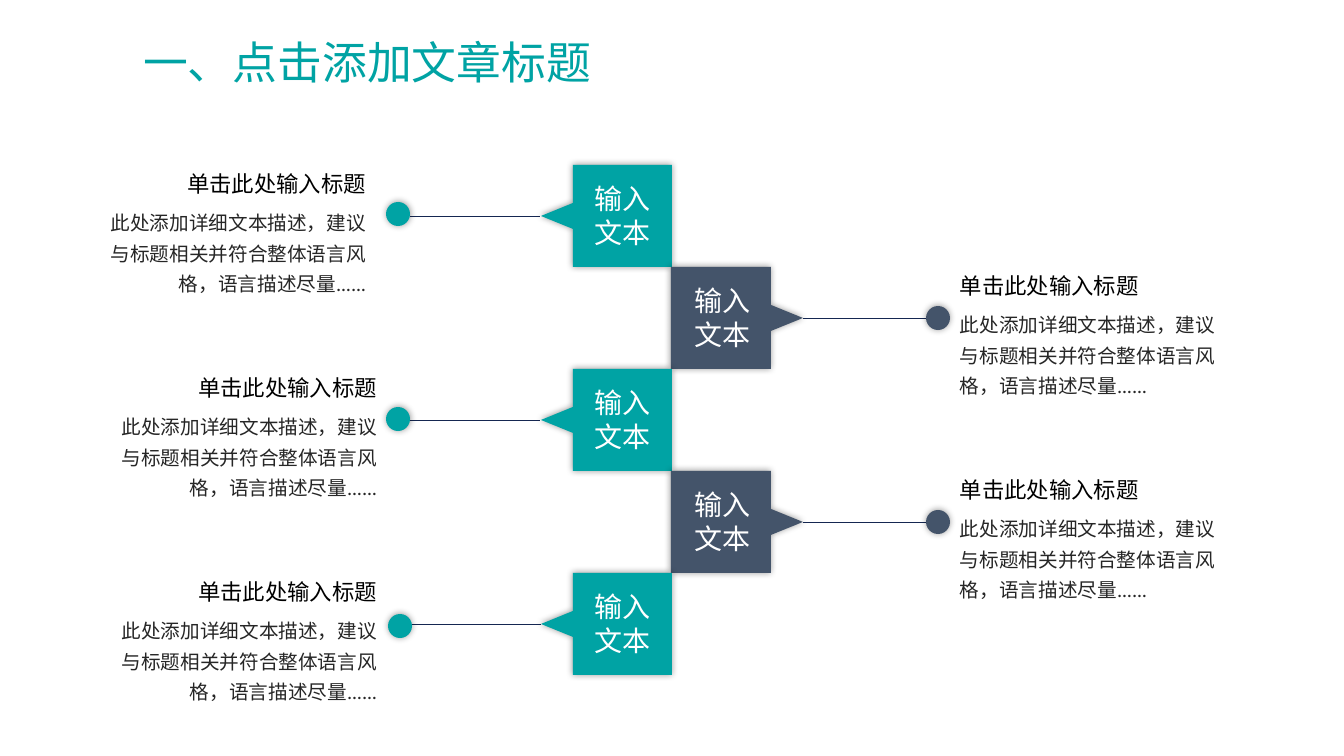
from dataclasses import dataclass

from lxml.etree import SubElement
from pptx import Presentation
from pptx.dml.color import RGBColor
from pptx.enum.shapes import MSO_CONNECTOR as Connector, MSO_SHAPE as Preset
from pptx.enum.text import MSO_ANCHOR as Anchor, MSO_AUTO_SIZE as AutoSize, PP_ALIGN as Align
from pptx.oxml.ns import qn
from pptx.util import Pt


@dataclass(frozen=True)
class Theme:
    font: str = "League Spartan"
    teal: str = "00A3A4"
    slate: str = "44546A"
    line: str = "152751"
    heading: str = "000000"
    body: str = "262626"
    white: str = "FFFFFF"
    shadow: str = "000000"
    title_size: int = 32
    label_size: int = 20
    heading_size: int = 16
    body_size: int = 14


THEME = Theme()
TITLE = "一、点击添加文章标题"
LABEL = ["输入", "文本"]
HEADING = "单击此处输入标题"
BODY = "此处添加详细文本描述，建议与标题相关并符合整体语言风格，语言描述尽量……"

ROWS = [
    {"side": "left", "line": 410, "dot": (386, 37), "text_edge": 376},
    {"side": "right", "line": 803, "dot": (926, 39), "text_edge": 950},
    {"side": "left", "line": 410, "dot": (386, 38), "text_edge": 387},
    {"side": "right", "line": 803, "dot": (926, 39), "text_edge": 950},
    {"side": "left", "line": 411, "dot": (388, 41), "text_edge": 387},
]
SIDES = {
    "left": {"color": THEME.teal, "inner": 672, "shoulder": 573, "tip": 541,
             "label": 584, "align": Align.RIGHT},
    "right": {"color": THEME.slate, "inner": 671, "shoulder": 771, "tip": 803,
              "label": 684, "align": Align.LEFT},
}
SLIDE_WIDTH, SLIDE_HEIGHT = 1344, 756
FIRST_TOP, PITCH = 165, 102
NOTCH, DOT, LINE_LENGTH = 13, 24, 130
HEADING_WIDTH, BODY_WIDTH = 202, 278
EMU_PER_PX = 914400 * 10 / 1008


def px(value):
    return round(value * EMU_PER_PX)


def box(*values):
    return [px(value) for value in values]


def rgb(color):
    return RGBColor.from_string(color)


def write(frame, lines, size, color, align, wrap=False, spacing=None):
    frame.word_wrap = wrap
    frame.auto_size = AutoSize.SHAPE_TO_FIT_TEXT
    frame.vertical_anchor = Anchor.TOP
    for index, line in enumerate(lines):
        paragraph = frame.add_paragraph() if index else frame.paragraphs[0]
        paragraph.alignment = align
        if spacing:
            paragraph.line_spacing = spacing
        run = paragraph.add_run()
        run.text = line
        run.font.name = THEME.font
        run.font.size = Pt(size)
        run.font.color.rgb = rgb(color)
        east_asian = SubElement(run.font._element, qn("a:ea"))
        east_asian.set("typeface", THEME.font)


def add_text(shapes, place, *args, **options):
    write(shapes.add_textbox(*box(*place)).text_frame, *args, **options)


def paint(shape, color):
    shape.fill.solid()
    shape.fill.fore_color.rgb = rgb(color)
    shape.line.fill.background()
    shape.shadow.inherit = False
    effects = shape._element.spPr.find(qn("a:effectLst"))
    glow = SubElement(effects, qn("a:outerShdw"), blurRad=str(Pt(5)), dist="0",
                      dir="0", algn="ctr", rotWithShape="0")
    tone = SubElement(glow, qn("a:srgbClr"), val=THEME.shadow)
    SubElement(tone, qn("a:alpha"), val="40000")


def add_line(shapes, row, top):
    middle = top + PITCH // 2
    line = shapes.add_connector(
        Connector.STRAIGHT, *box(row["line"], middle, row["line"] + LINE_LENGTH, middle))
    line.line.color.rgb = rgb(THEME.line)
    line.line.width = Pt(0.5)
    SubElement(line._element.spPr, qn("a:effectLst"))


def add_tag(shapes, row, top):
    side = SIDES[row["side"]]
    inner, shoulder = side["inner"], side["shoulder"]
    middle, bottom = top + PITCH // 2, top + PITCH
    group = shapes.add_group_shape()
    builder = group.shapes.build_freeform(inner, top, EMU_PER_PX)
    builder.add_line_segments([
        (inner, bottom), (shoulder, bottom), (shoulder, middle + NOTCH),
        (side["tip"], middle), (shoulder, middle - NOTCH), (shoulder, top)])
    paint(builder.convert_to_shape(), side["color"])
    add_text(group.shapes, (side["label"], top + 12, 77, 78), LABEL,
             THEME.label_size, THEME.white, Align.CENTER)


def add_dot(shapes, row, top):
    left, drop = row["dot"]
    dot = shapes.add_shape(Preset.OVAL, *box(left, top + drop, DOT, DOT))
    paint(dot, SIDES[row["side"]]["color"])


def add_description(shapes, row, top):
    align, edge = SIDES[row["side"]]["align"], row["text_edge"]
    shift = 1 if align == Align.RIGHT else 0
    add_text(shapes, (edge - shift * HEADING_WIDTH, top, HEADING_WIDTH, 37),
             [HEADING], THEME.heading_size, THEME.heading, align)
    add_text(shapes, (edge - shift * BODY_WIDTH, top + 34, BODY_WIDTH, 103),
             [BODY], THEME.body_size, THEME.body, align, wrap=True, spacing=1.3)


def main():
    presentation = Presentation()
    presentation.slide_width, presentation.slide_height = box(SLIDE_WIDTH, SLIDE_HEIGHT)
    slide = presentation.slides.add_slide(presentation.slide_layouts[5])
    title = slide.shapes.title
    title.left, title.top, title.width, title.height = box(133, 30, 473, 65)
    write(title.text_frame, [TITLE], THEME.title_size, THEME.teal, Align.LEFT)
    for add_part in (add_line, add_tag, add_dot, add_description):
        for index, row in enumerate(ROWS):
            add_part(slide.shapes, row, FIRST_TOP + index * PITCH)
    presentation.save("out.pptx")


if __name__ == "__main__":
    main()
